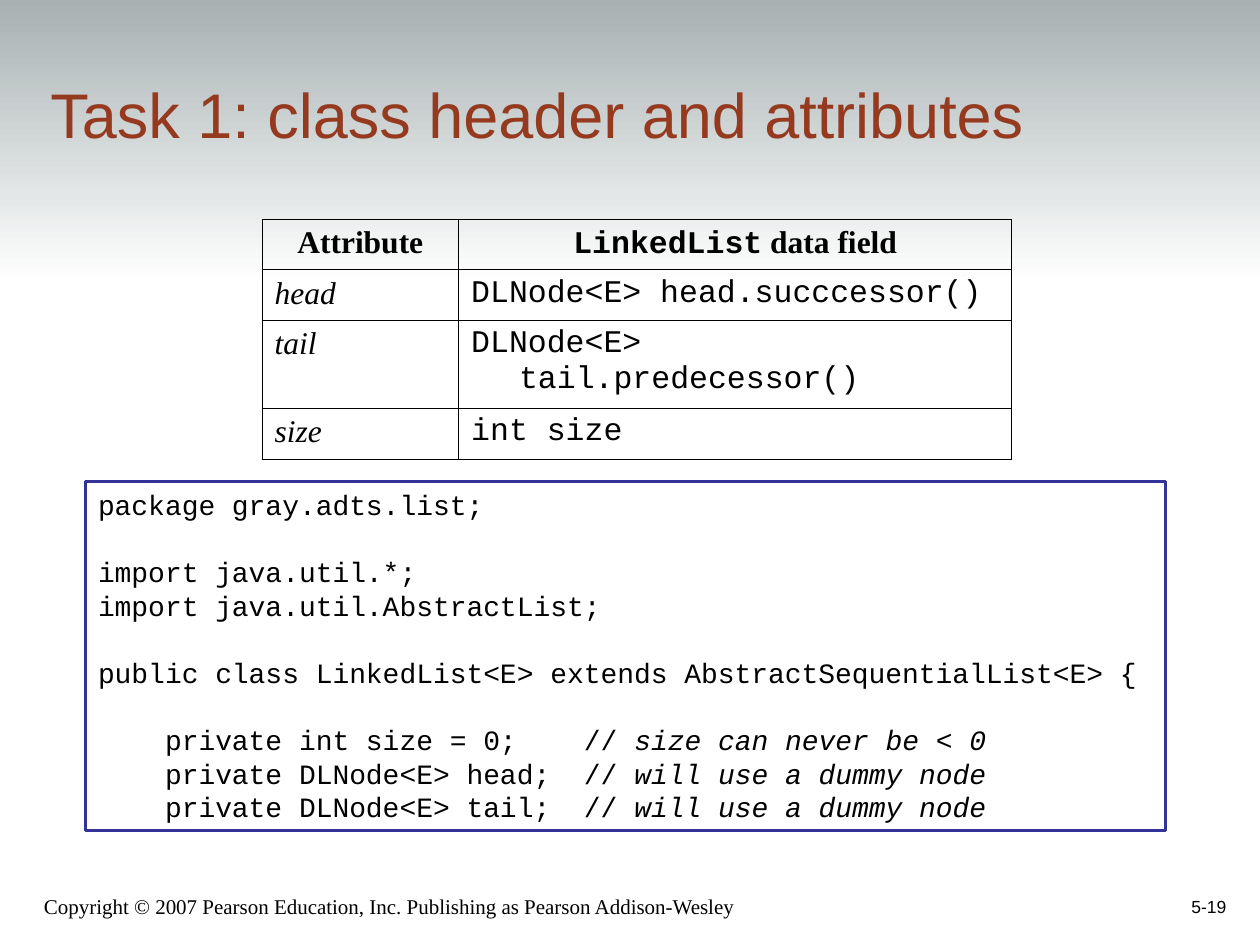
"""Build the slide on the class header and attributes of a linked list."""
import pptx
import pptx.dml.color
import pptx.enum.shapes
import pptx.enum.text
import pptx.oxml
import pptx.oxml.ns
import pptx.util

Inches, Pt = pptx.util.Inches, pptx.util.Pt
ALIGN = pptx.enum.text.PP_ALIGN
ANCHOR = pptx.enum.text.MSO_ANCHOR
RECT = pptx.enum.shapes.MSO_SHAPE.RECTANGLE

COLORS = {"title": "953A1F", "text": "000000", "frame": "333399",
          "top": "A7B1B2", "bottom": "FFFFFF"}
SERIF, SANS, MONO = "Times New Roman", "Arial", "Courier New"

TITLE = "Task 1: class header and attributes"
COPYRIGHT = "Copyright © 2007 Pearson Education, Inc. Publishing as Pearson Addison-Wesley"
NUMBER = "5-19"

HEADER = [[("Attribute", SERIF)], [("LinkedList", MONO), (" data field", SERIF)]]
FIELDS = [("head", "DLNode<E> head.succcessor()"),
          ("tail", "DLNode<E> tail.predecessor()"),
          ("size", "int size")]
COL_WIDTHS = [1.56, 4.39]
ROW_HEIGHTS = [0.4, 0.4, 0.7, 0.4]

CODE_BLOCKS = [
    [("package gray.adts.list;", "")],
    [("import java.util.*;", ""), ("import java.util.AbstractList;", "")],
    [("public class LinkedList<E> extends AbstractSequentialList<E> {", "")],
    [("    private int size = 0;    // ", "size can never be < 0"),
     ("    private DLNode<E> head;  // ", "will use a dummy node"),
     ("    private DLNode<E> tail;  // ", "will use a dummy node")],
]
CODE_LINE = Pt(19.2)


def rgb(name):
    return pptx.dml.color.RGBColor.from_string(COLORS[name])


def style(r, font, size, color="text", bold=False, italic=False):
    r.font.name, r.font.size = font, Pt(size)
    r.font.bold, r.font.italic = bold, italic
    r.font.color.rgb = rgb(color)


def add_run(p, text, font, size, **options):
    r = p.add_run()
    r.text = text
    style(r, font, size, **options)


def add_rect(s, x, y, w, h):
    sp = s.shapes.add_shape(RECT, Inches(x), Inches(y), Inches(w), Inches(h))
    sp.shadow.inherit = False
    return sp


def add_band(s):
    sp = add_rect(s, 0, 0, 10, 2.25)
    sp.line.fill.background()
    sp.fill.gradient()
    sp.fill.gradient_angle = 270
    for stop, position, name in zip(sp.fill.gradient_stops, (0, 1), ("top", "bottom")):
        stop.position = position
        stop.color.rgb = rgb(name)
    s.shapes._spTree.insert(2, sp._element)


def add_title(s):
    sp = s.shapes.title
    sp.left, sp.top, sp.width, sp.height = map(Inches, (0.3, 0.5, 8.47, 0.75))
    tf = sp.text_frame
    tf.text = TITLE
    tf.auto_size = pptx.enum.text.MSO_AUTO_SIZE.NONE
    tf.vertical_anchor = ANCHOR.BOTTOM
    tf.paragraphs[0].alignment = ALIGN.LEFT
    style(tf.paragraphs[0].runs[0], SANS, 36, "title")


def add_footer(s, box, text, font, size, align):
    tf = s.shapes.add_textbox(*map(Inches, box)).text_frame
    tf.word_wrap = True
    tf.vertical_anchor = ANCHOR.BOTTOM
    p = tf.paragraphs[0]
    p.alignment = align
    add_run(p, text, font, size)


def add_borders(cell):
    tcPr = cell._tc.get_or_add_tcPr()
    for side in ("lnL", "lnR", "lnT", "lnB"):
        tcPr.append(pptx.oxml.parse_xml(
            f'<a:{side} {pptx.oxml.ns.nsdecls("a")} w="{Pt(0.45)}"><a:solidFill>'
            f'<a:srgbClr val="{COLORS["text"]}"/></a:solidFill></a:{side}>'))
    cell.fill.background()


def add_attributes(s):
    rows = [HEADER] + [[[(name, SERIF)], [(field, MONO)]] for name, field in FIELDS]
    table = s.shapes.add_table(
        len(rows), len(COL_WIDTHS), Inches(2.08), Inches(1.74),
        Inches(sum(COL_WIDTHS)), Inches(sum(ROW_HEIGHTS))).table
    table.first_row = table.horz_banding = False
    for column, width in zip(table.columns, COL_WIDTHS):
        column.width = Inches(width)
    for i, (row, height) in enumerate(zip(rows, ROW_HEIGHTS)):
        table.rows[i].height = Inches(height)
        for j, parts in enumerate(row):
            cell = table.cell(i, j)
            add_borders(cell)
            p = cell.text_frame.paragraphs[0]
            p.alignment = ALIGN.LEFT if i else ALIGN.CENTER
            pPr = p._p.get_or_add_pPr()
            pPr.set("marL", str(Inches(0.38)))
            pPr.set("indent", str(-Inches(0.38)))
            for text, font in parts:
                add_run(p, text, font, 18, bold=i == 0, italic=i > 0 and j == 0)


def add_code(s):
    sp = add_rect(s, 0.68, 3.82, 8.57, 2.77)
    sp.fill.background()
    sp.line.color.rgb, sp.line.width = rgb("frame"), Pt(1.5)
    tf = sp.text_frame
    tf.word_wrap = True
    tf.vertical_anchor = ANCHOR.TOP
    p = tf.paragraphs[0]
    for b, block in enumerate(CODE_BLOCKS):
        for n, (code, comment) in enumerate(block):
            if b or n:
                p = tf.add_paragraph()
            p.alignment = ALIGN.LEFT
            p.line_spacing = CODE_LINE
            if b and n == 0:
                p.space_before = CODE_LINE
            add_run(p, code, MONO, 16)
            if comment:
                add_run(p, comment, MONO, 16, italic=True)


def main():
    prs = pptx.Presentation()
    prs.slide_width, prs.slide_height = Inches(10), Inches(7.5)
    s = prs.slides.add_slide(prs.slide_layouts[5])
    add_band(s)
    add_footer(s, (0.25, 6.92, 6.08, 0.42), COPYRIGHT, SERIF, 12, ALIGN.LEFT)
    add_footer(s, (7.75, 6.83, 2.08, 0.5), NUMBER, SANS, 10, ALIGN.RIGHT)
    add_title(s)
    add_attributes(s)
    add_code(s)
    prs.save("out.pptx")


if __name__ == "__main__":
    main()
